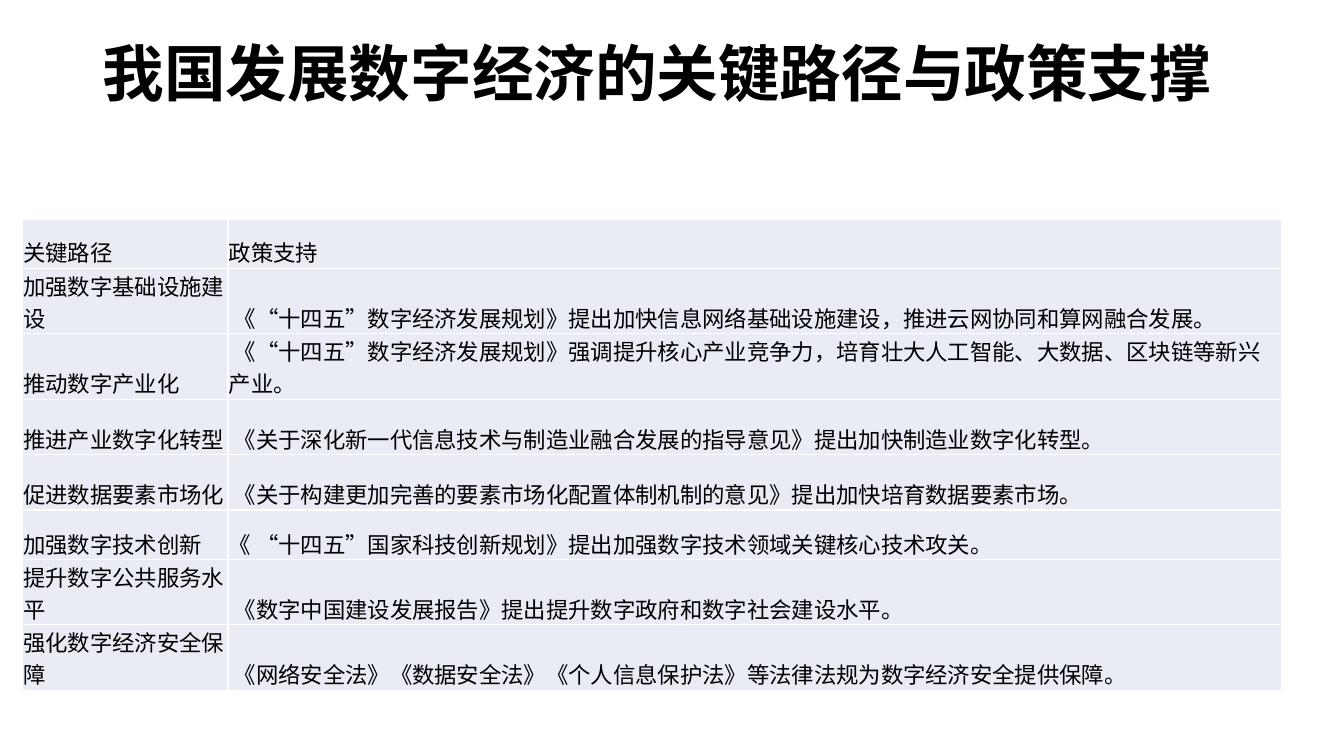
import pptx
import pptx.dml.color
import pptx.enum.text
import pptx.oxml
import pptx.oxml.ns
import pptx.util

Pt = pptx.util.Pt
RGB = pptx.dml.color.RGBColor.from_string
ANCHOR = pptx.enum.text.MSO_ANCHOR
ALIGN = pptx.enum.text.PP_ALIGN

FONT = "Noto Sans CJK SC"
COLORS = {"text": "000000", "cell": "E9EBF5", "border": "FFFFFF"}

TITLE = "我国发展数字经济的关键路径与政策支撑"
POLICIES = [
    ("关键路径", "政策支持"),
    ("加强数字基础设施建设",
     " 《“十四五”数字经济发展规划》提出加快信息网络基础设施建设，推进云网协同和算网融合发展。"),
    ("推动数字产业化",
     " 《“十四五”数字经济发展规划》强调提升核心产业竞争力，培育壮大人工智能、大数据、区块链等新兴产业。"),
    ("推进产业数字化转型",
     " 《关于深化新一代信息技术与制造业融合发展的指导意见》提出加快制造业数字化转型。"),
    ("促进数据要素市场化",
     " 《关于构建更加完善的要素市场化配置体制机制的意见》提出加快培育数据要素市场。"),
    ("加强数字技术创新",
     "《 “十四五”国家科技创新规划》提出加强数字技术领域关键核心技术攻关。"),
    ("提升数字公共服务水平",
     " 《数字中国建设发展报告》提出提升数字政府和数字社会建设水平。"),
    ("强化数字经济安全保障",
     " 《网络安全法》《数据安全法》《个人信息保护法》等法律法规为数字经济安全提供保障。"),
]
COLUMN_WIDTHS = [146.9, 752.4]
ROW_HEIGHTS = [35.3, 39.6, 39.6, 39.6, 39.6, 35.3, 39.6, 39.6]


def set_font(paragraph, size, bold=False):
    """Format Latin and East Asian text alike."""
    font = paragraph.font
    font.size = Pt(size)
    font.bold = bold
    font.color.rgb = RGB(COLORS["text"])
    font.name = FONT
    latin = paragraph._p.pPr.find(".//" + pptx.oxml.ns.qn("a:latin"))
    latin.addnext(pptx.oxml.parse_xml(
        f'<a:ea {pptx.oxml.ns.nsdecls("a")} typeface="{FONT}"/>'))


def add_borders(cell):
    properties = cell._tc.get_or_add_tcPr()
    for side in ("lnL", "lnR", "lnT", "lnB"):
        properties.append(pptx.oxml.parse_xml(
            f'<a:{side} {pptx.oxml.ns.nsdecls("a")} w="{Pt(1)}"><a:solidFill>'
            f'<a:srgbClr val="{COLORS["border"]}"/></a:solidFill></a:{side}>'))


def place_title(slide, left, top, width, height):
    title = slide.shapes.title
    title.left, title.top = Pt(left), Pt(top)
    title.width, title.height = Pt(width), Pt(height)
    title.text_frame.word_wrap = True
    title.text_frame.vertical_anchor = ANCHOR.MIDDLE
    heading = title.text_frame.paragraphs[0]
    heading.add_run().text = TITLE
    heading.add_line_break()
    heading.alignment = ALIGN.LEFT
    heading.line_spacing = 0.9
    set_font(heading, 44, bold=True)


def fill_cell(cell, text):
    cell.margin_left = cell.margin_right = cell.margin_top = Pt(0.6)
    cell.margin_bottom = Pt(0)
    cell.vertical_anchor = ANCHOR.BOTTOM
    add_borders(cell)
    cell.fill.solid()
    cell.fill.fore_color.rgb = RGB(COLORS["cell"])
    entry = cell.text_frame.paragraphs[0]
    entry.text = text
    entry.alignment = ALIGN.LEFT
    set_font(entry, 16)


def add_policy_table(slide, left, top):
    policies = slide.shapes.add_table(
        len(POLICIES), len(COLUMN_WIDTHS), Pt(left), Pt(top),
        Pt(sum(COLUMN_WIDTHS)), Pt(sum(ROW_HEIGHTS))).table
    policies.first_row = policies.horz_banding = False
    for column, width in zip(policies.columns, COLUMN_WIDTHS):
        column.width = Pt(width)
    for row, height, texts in zip(policies.rows, ROW_HEIGHTS, POLICIES):
        row.height = Pt(height)
        for cell, text in zip(row.cells, texts):
            fill_cell(cell, text)


def main():
    deck = pptx.Presentation()
    deck.slide_width, deck.slide_height = Pt(960), Pt(540)
    slide = deck.slides.add_slide(deck.slide_layouts.get_by_name("Title Only"))
    place_title(slide, 66, 28.8, 828, 104.4)
    add_policy_table(slide, 16, 156.4)
    deck.save("out.pptx")


if __name__ == "__main__":
    main()
